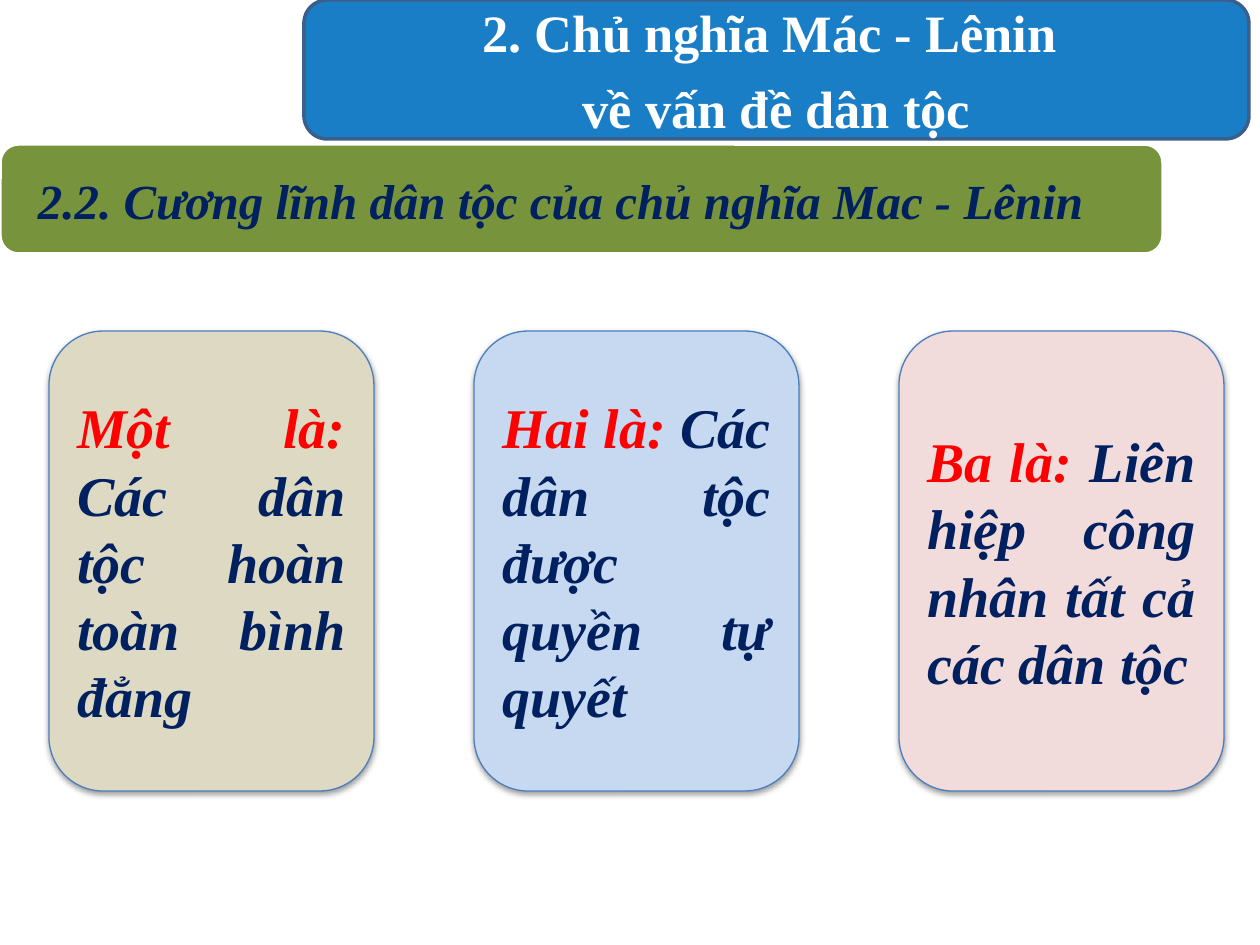
from dataclasses import dataclass

from lxml import etree
from pptx import Presentation
from pptx.dml.color import RGBColor
from pptx.enum.shapes import MSO_SHAPE
from pptx.enum.text import MSO_ANCHOR, PP_ALIGN
from pptx.oxml.ns import qn
from pptx.util import Emu, Pt

ROUNDED = MSO_SHAPE.ROUNDED_RECTANGLE
MIDDLE = MSO_ANCHOR.MIDDLE
LEFT, CENTER, JUSTIFY = PP_ALIGN.LEFT, PP_ALIGN.CENTER, PP_ALIGN.JUSTIFY

FONT = "Times New Roman"
EMU_PER_PX = 914400 / 126
COLORS = {
    "white": "FFFFFF",
    "black": "000000",
    "blue": "0070C0",
    "blue_edge": "3A5F8C",
    "green": "77933C",
    "navy": "002060",
    "red": "FF0000",
    "card_edge": "4B7EBC",
    "sand": "DDD9C3",
    "sky": "C6D9F1",
    "rose": "F2DCDB",
}
CARD_LEFT, CARD_TOP, CARD_WIDTH, CARD_HEIGHT, CARD_STEP = 49, 331, 325, 460, 425


@dataclass(frozen=True)
class Card:
    label: str
    body: str
    fill: str


CARDS = [
    Card("Một là: ", "Các dân tộc hoàn toàn bình đẳng", "sand"),
    Card("Hai là: ", "Các dân tộc được quyền tự quyết", "sky"),
    Card("Ba là: ", "Liên hiệp công nhân tất cả các dân tộc", "rose"),
]


def px(length: int) -> Emu:
    """Turn pixels into EMU."""
    return Emu(round(length * EMU_PER_PX))


def rgb(name: str) -> RGBColor:
    """Look up a named colour."""
    return RGBColor.from_string(COLORS[name])


def add_panel(slide, left: int, top: int, width: int, height: int, *,
              fill: str, edge: str, weight: float):
    """Add a rounded panel without a shadow."""
    panel = slide.shapes.add_shape(ROUNDED, px(left), px(top), px(width), px(height))
    panel.shadow.inherit = False
    panel.fill.solid()
    panel.fill.fore_color.rgb = rgb(fill)
    panel.line.color.rgb = rgb(edge)
    panel.line.width = Pt(weight)
    return panel


def set_alpha(color, percent: int) -> None:
    """Give a colour element its opacity."""
    etree.SubElement(color, qn("a:alpha"), val=str(percent * 1000))


def add_shadow(panel) -> None:
    """Add a soft shadow below a panel."""
    effects = panel._element.spPr.find(qn("a:effectLst"))
    shadow = etree.SubElement(effects, qn("a:outerShdw"), blurRad="40000",
                              dist="20000", dir="5400000", rotWithShape="0")
    set_alpha(etree.SubElement(shadow, qn("a:srgbClr"), val=COLORS["black"]), 38)


def write_text(box, lines: list[list[tuple[str, str]]], *, size: int,
               align: PP_ALIGN, italic: bool = False, gap: int = 0) -> None:
    """Write lines of (text, colour) spans into a box."""
    frame = box.text_frame
    frame.word_wrap = True
    frame.vertical_anchor = MIDDLE
    for index, spans in enumerate(lines):
        para = frame.add_paragraph() if index else frame.paragraphs[0]
        para.alignment = align
        if index:
            para.space_before = Pt(gap)
        for text, color in spans:
            span = para.add_run()
            span.text = text
            span.font.name = FONT
            span.font.size = Pt(size)
            span.font.bold = True
            span.font.italic = italic
            span.font.color.rgb = rgb(color)


def add_title(slide) -> None:
    """Add the translucent title panel."""
    panel = add_panel(slide, 304, 0, 945, 139, fill="blue", edge="blue_edge", weight=2)
    set_alpha(panel._element.spPr.find(qn("a:solidFill"))[0], 90)
    lines = [[("2. Chủ nghĩa Mác - Lênin ", "white")], [("về vấn đề dân tộc", "white")]]
    write_text(panel, lines, size=30, align=CENTER, gap=7)


def add_heading(slide) -> None:
    """Add the section heading on its green band."""
    add_panel(slide, 0, 144, 1163, 110, fill="green", edge="white", weight=2)
    box = slide.shapes.add_textbox(px(8), px(150), px(1147), px(99))
    frame = box.text_frame
    frame.margin_left = frame.margin_right = px(30)
    frame.margin_top = frame.margin_bottom = 0
    heading = "2.2. Cương lĩnh dân tộc của chủ nghĩa Mac - Lênin"
    write_text(box, [[(heading, "navy")]], size=28, align=LEFT, italic=True)


def add_card(slide, card: Card, left: int) -> None:
    """Add one principle card."""
    panel = add_panel(slide, left, CARD_TOP, CARD_WIDTH, CARD_HEIGHT,
                      fill=card.fill, edge="card_edge", weight=0.75)
    add_shadow(panel)
    write_text(panel, [[(card.label, "red"), (card.body, "navy")]],
               size=32, align=JUSTIFY, italic=True)


def main() -> None:
    """Build and save the deck."""
    deck = Presentation()
    deck.slide_width, deck.slide_height = px(1260), px(945)
    page = deck.slides.add_slide(deck.slide_layouts[6])
    add_title(page)
    add_heading(page)
    for index, card in enumerate(CARDS):
        add_card(page, card, CARD_LEFT + index * CARD_STEP)
    deck.save("out.pptx")


if __name__ == "__main__":
    main()
